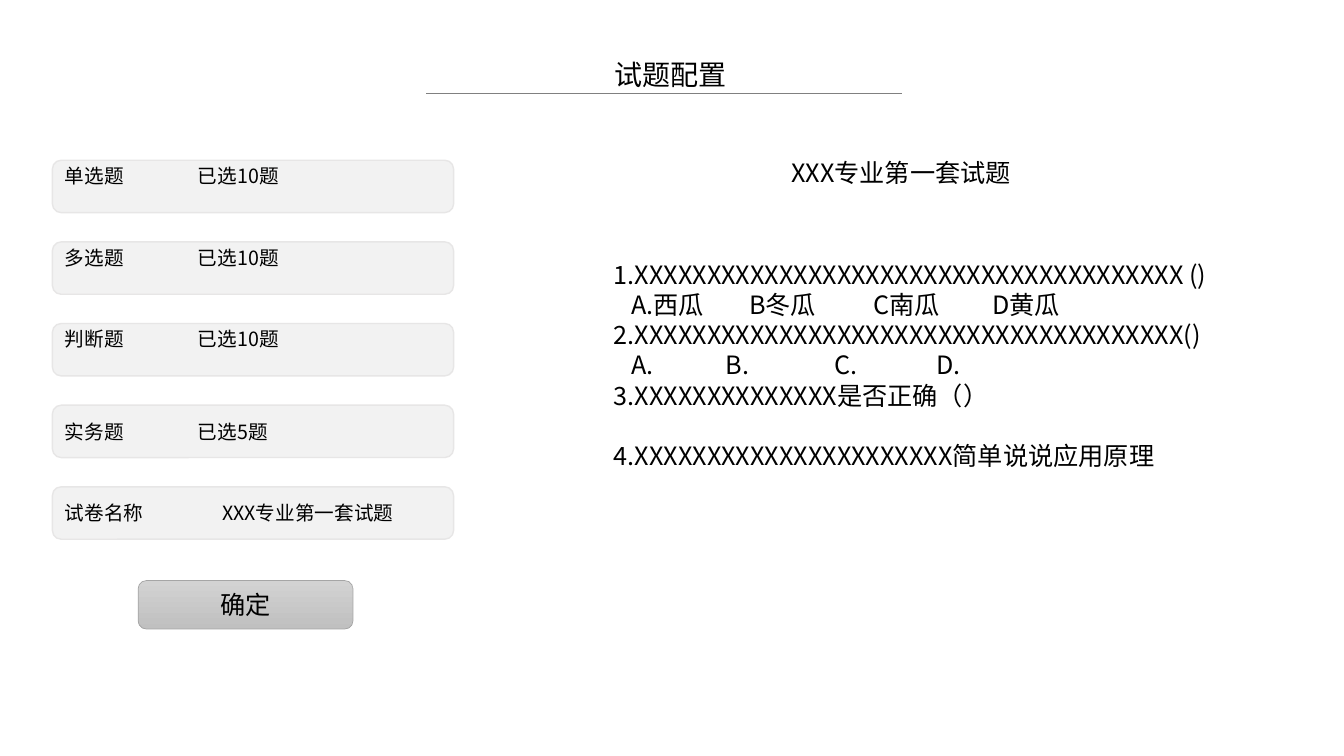
from lxml import etree
from pptx import Presentation, util as u
from pptx.dml import color as dml
from pptx.enum import shapes, text
from pptx.oxml import ns

WIDTH, HEIGHT = 13.33, 7.5
OPTION_START = 0.17


def rgb(value):
    return dml.RGBColor.from_string(value)


class SlideBuilder:
    font_name = "Noto Sans CJK SC"
    ink = "000000"
    frame_format = {
        "auto_size": text.MSO_AUTO_SIZE.NONE,
        "margin_left": u.Inches(0.1),
        "margin_right": u.Inches(0.1),
        "margin_top": u.Inches(0.05),
        "margin_bottom": u.Inches(0.05),
        "word_wrap": True,
        "vertical_anchor": text.MSO_ANCHOR.TOP,
    }

    def __init__(self, presentation):
        self.slide = presentation.slides.add_slide(presentation.slide_layouts[5])

    def place(self, left, top, width, height):
        return [u.Inches(share * side / 100) for share, side in
                zip((left, top, width, height), (WIDTH, HEIGHT, WIDTH, HEIGHT))]

    def fill_text(self, shape, lines, size, align=text.PP_ALIGN.LEFT, **changes):
        frame = shape.text_frame
        for name, value in {**self.frame_format, **changes}.items():
            setattr(frame, name, value)
        for index, (words, stops, gap) in enumerate(lines):
            paragraph = frame.paragraphs[0] if index == 0 else frame.add_paragraph()
            paragraph.alignment = align
            if gap:
                paragraph.space_before = u.Pt(gap)
            if stops:
                properties = paragraph._p.get_or_add_pPr()
                tabs = etree.SubElement(properties, ns.qn("a:tabLst"))
                for stop in stops:
                    etree.SubElement(tabs, ns.qn("a:tab"), pos=str(u.Inches(stop)), algn="l")
            run = paragraph.add_run()
            run.text = words
            for name, value in {"name": self.font_name, "size": u.Pt(size), "bold": False}.items():
                setattr(run.font, name, value)
            run.font.color.rgb = rgb(self.ink)
            etree.SubElement(run._r.get_or_add_rPr(), ns.qn("a:ea"), typeface=self.font_name)

    def title(self, words, box, size):
        shape = self.slide.shapes.title
        for name, value in zip(("left", "top", "width", "height"), self.place(*box)):
            setattr(shape, name, value)
        self.fill_text(shape, [(words, (), 0)], size, word_wrap=False)

    def text_box(self, lines, box, size):
        self.fill_text(self.slide.shapes.add_textbox(*self.place(*box)), lines, size)

    def rule(self, left, right, top, color, weight):
        start_x, y, end_x, _ = self.place(left, top, right, top)
        line = self.slide.shapes.add_connector(shapes.MSO_CONNECTOR.STRAIGHT, start_x, y, end_x, y)
        line.line.color.rgb = rgb(color)
        line.line.width = u.Pt(weight)
        etree.SubElement(line._element.spPr, ns.qn("a:effectLst"))

    def panel(self, box, fills, border, weight):
        shape = self.slide.shapes.add_shape(
            shapes.MSO_SHAPE.ROUNDED_RECTANGLE, *self.place(*box))
        shape.shadow.inherit = False
        if len(fills) == 1:
            shape.fill.solid()
            shape.fill.fore_color.rgb = rgb(fills[0])
        else:
            shape.fill.gradient()
            shape.fill.gradient_angle = 270
            for stop, color in zip(shape.fill.gradient_stops, fills):
                stop.color.rgb = rgb(color)
        shape.line.color.rgb = rgb(border)
        shape.line.width = u.Pt(weight)
        return shape

    def field(self, box, words, stop, **changes):
        shape = self.panel(box, ["F2F2F2"], "E7E6E6", 1)
        self.fill_text(shape, [(words, (stop,), 0)], 14, **changes)

    def button(self, box, words):
        shape = self.panel(box, ["D2D2D2", "C0C0C0"], "A5A5A5", 0.5)
        self.fill_text(shape, [(words, (), 0)], 18, text.PP_ALIGN.CENTER,
                       vertical_anchor=text.MSO_ANCHOR.MIDDLE)


def main():
    presentation = Presentation()
    presentation.slide_width = u.Inches(WIDTH)
    presentation.slide_height = u.Inches(HEIGHT)
    builder = SlideBuilder(presentation)

    builder.rule(31.73, 67.14, 12.3, "808080", 0.5)
    builder.title("试题配置", (44.94, 6.93, 9.9, 5.87), 20)

    raised = {"margin_top": u.Inches(0.01)}
    centred = {"vertical_anchor": text.MSO_ANCHOR.MIDDLE}
    fields = [
        ("单选题\t已选10题", 1.32, raised),
        ("多选题\t已选10题", 1.32, raised),
        ("判断题\t已选10题", 1.32, raised),
        ("实务题\t已选5题", 1.32, centred),
        ("试卷名称\tXXX专业第一套试题", 1.56, centred),
    ]
    for row, (words, stop, changes) in enumerate(fields):
        builder.field((3.9, 21.2 + 10.8 * row, 29.85, 6.93), words, stop, **changes)
    builder.button((10.28, 76.8, 15.98, 6.4), "确定")

    builder.text_box([("XXX专业第一套试题", (), 0)], (58.13, 20.13, 18.08, 5.33), 18)
    questions = [
        ("1." + "X" * 38 + " ()", (), 0),
        ("\tA.西瓜\tB冬瓜\tC南瓜\tD黄瓜", (OPTION_START, 1.34, 2.57, 3.75), 0),
        ("2." + "X" * 38 + "()", (), 0),
        ("\tA.\tB.\tC.\tD.", (OPTION_START, 1.11, 2.19, 3.2), 0),
        ("3." + "X" * 14 + "是否正确（）", (), 0),
        ("4." + "X" * 22 + "简单说说应用原理", (), 21.4),
    ]
    builder.text_box(questions, (44.94, 33.6, 47.63, 33.6), 18)
    presentation.save("out.pptx")


if __name__ == "__main__":
    main()
